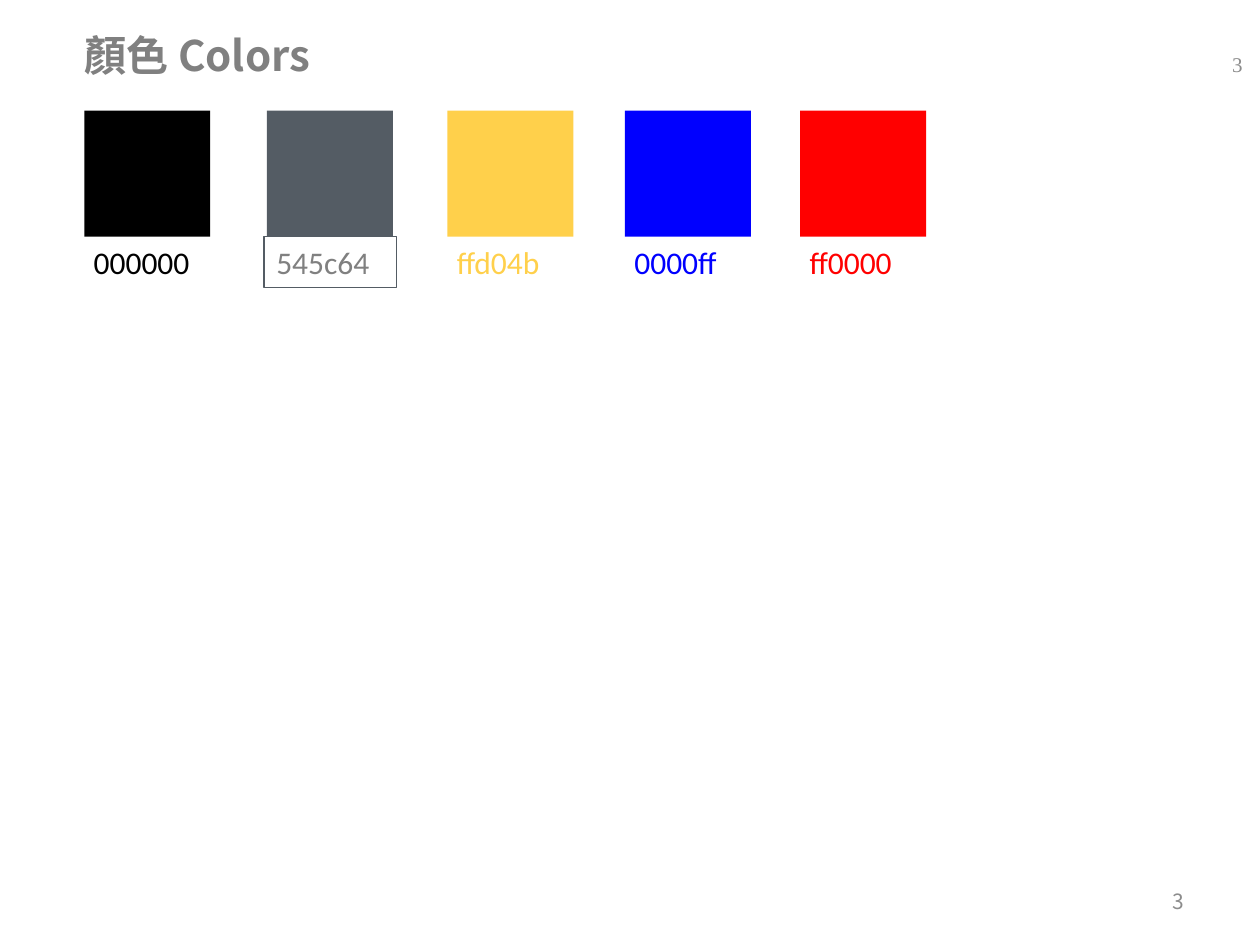
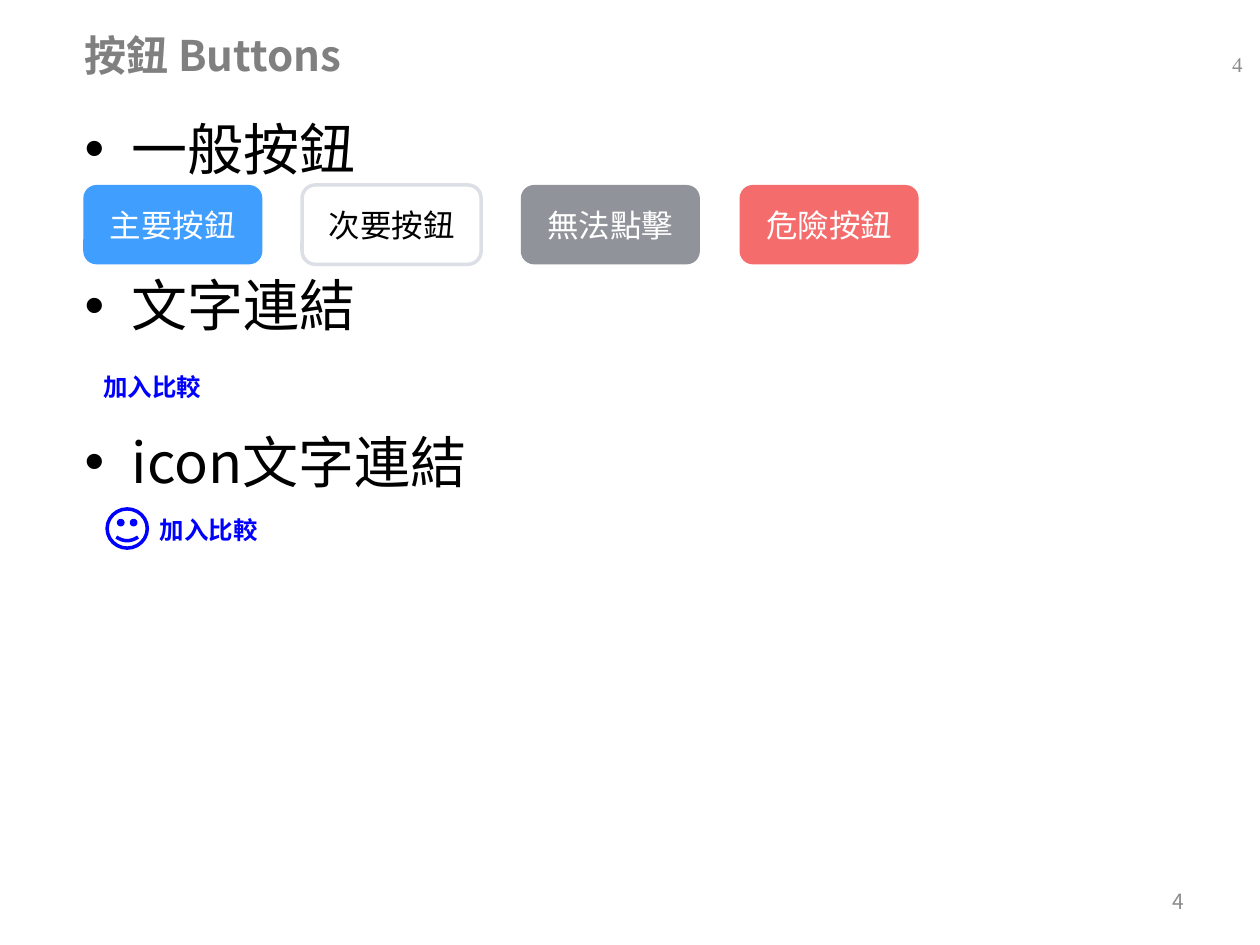
from dataclasses import dataclass

from lxml.etree import SubElement
from pptx import Presentation
from pptx.dml.color import RGBColor
from pptx.enum.shapes import MSO_SHAPE
from pptx.enum.text import MSO_ANCHOR, MSO_AUTO_SIZE, PP_ALIGN
from pptx.oxml.ns import qn
from pptx.util import Cm, Pt


@dataclass(frozen=True)
class Theme:
    sans: str = "Noto Sans CJK SC"
    label: str = "Calibri"
    serif: str = "Times New Roman"
    black: str = "000000"
    white: str = "FFFFFF"
    heading: str = "808080"
    number: str = "8C8C8C"
    slate: str = "545C64"
    yellow: str = "FFD04B"
    blue: str = "0000FF"
    red: str = "FF0000"
    primary: str = "409EFF"
    border: str = "DCDFE6"
    disabled: str = "909399"
    danger: str = "F56C6C"
    title_size: float = 24
    body_size: float = 32
    label_size: float = 18
    link_size: float = 14
    number_size: float = 12


@dataclass(frozen=True)
class Box:
    left: float
    top: float
    width: float
    height: float

    def inside(self, left, top, width, height):
        return Box(self.left + left, self.top + top, width, height)

    def lengths(self):
        return [Cm(side) for side in (self.left, self.top, self.width, self.height)]


THEME = Theme()
TITLE_BOX = Box(1.45, 0.13, 22.86, 1.96)
BODY_BOX = Box(1.45, 2.08, 22.86, 16.23)
NUMBER_BOXES = (
    (Box(18.21, 17.65, 5.92, 1.02), THEME.sans),
    (Box(19.38, 0.79, 5.92, 1.02), THEME.serif),
)


def write(para, text, font=THEME.label, size=THEME.label_size, color=THEME.black,
          bold=False, align=PP_ALIGN.LEFT):
    para.alignment = align
    span = para.add_run()
    span.text = text
    span.font.name = font
    span.font.size = Pt(size)
    span.font.bold = bold
    span.font.color.rgb = RGBColor.from_string(color)
    SubElement(span._r.get_or_add_rPr(), qn("a:ea"), typeface=THEME.sans)


def place(shape, box):
    shape.left, shape.top, shape.width, shape.height = box.lengths()


def add_text(shapes, box, text, anchor=MSO_ANCHOR.TOP, **style):
    frame = shapes.add_textbox(*box.lengths()).text_frame
    frame.word_wrap = True
    frame.vertical_anchor = anchor
    write(frame.paragraphs[0], text, **style)


def add_figure(shapes, kind, box, fill=None, line=None, line_width=2):
    shape = shapes.add_shape(kind, *box.lengths())
    shape.shadow.inherit = False
    if fill:
        shape.fill.solid()
        shape.fill.fore_color.rgb = RGBColor.from_string(fill)
    else:
        shape.fill.background()
    if line:
        shape.line.color.rgb = RGBColor.from_string(line)
        shape.line.width = Pt(line_width)
    else:
        shape.line.fill.background()
    return shape


def add_page(deck, layout, title, number):
    page = deck.slides.add_slide(deck.slide_layouts.get_by_name(layout))
    heading = page.shapes.title
    place(heading, TITLE_BOX)
    heading.text_frame.vertical_anchor = MSO_ANCHOR.MIDDLE
    write(heading.text_frame.paragraphs[0], title, font=THEME.sans,
          size=THEME.title_size, color=THEME.heading, bold=True)
    for box, font in NUMBER_BOXES:
        add_text(page.shapes, box, number, anchor=MSO_ANCHOR.MIDDLE, font=font,
                 size=THEME.number_size, color=THEME.number, align=PP_ALIGN.RIGHT)
    return page


def add_swatch(page, box, fill, text_color, outline=None):
    shapes = page.shapes.add_group_shape().shapes
    add_figure(shapes, MSO_SHAPE.RECTANGLE, box.inside(0, 0, 2.54, 2.54), fill)
    label_box = box.inside(-0.06, 2.54, 2.67, 1.03)
    if outline:
        add_figure(shapes, MSO_SHAPE.RECTANGLE, label_box, line=outline, line_width=0.75)
    add_text(shapes, label_box, fill.lower(), color=text_color)


def add_button(page, box, text, fill=None, line=None, text_color=THEME.white):
    button = add_figure(page.shapes, MSO_SHAPE.ROUNDED_RECTANGLE, box, fill, line)
    button.text_frame.vertical_anchor = MSO_ANCHOR.MIDDLE
    write(button.text_frame.paragraphs[0], text, color=text_color, align=PP_ALIGN.CENTER)


def add_link(shapes, box, text):
    add_text(shapes, box, text, size=THEME.link_size, color=THEME.blue, bold=True)


def add_icon_link(page, box, text):
    shapes = page.shapes.add_group_shape().shapes
    add_link(shapes, box.inside(0.81, 0, 2.62, 0.86), text)
    add_figure(shapes, MSO_SHAPE.SMILEY_FACE, box.inside(0, 0, 0.81, 0.79), line=THEME.blue)


def add_list(page, box, items):
    body = page.placeholders[1]
    place(body, box)
    frame = body.text_frame
    frame.auto_size = MSO_AUTO_SIZE.NONE
    for index, item in enumerate(items):
        para = frame.add_paragraph() if index else frame.paragraphs[0]
        para.line_spacing = Pt(41)
        para.space_before = Pt(48.7 if index else 0)
        write(para, item, font=THEME.sans, size=THEME.body_size)


def build_colors(deck):
    page = add_page(deck, "Title Only", "顏色 Colors", "3")
    swatches = (
        (1.7, THEME.black, THEME.black, None),
        (5.38, THEME.slate, THEME.heading, THEME.slate),
        (9.02, THEME.yellow, THEME.yellow, None),
        (12.6, THEME.blue, THEME.blue, None),
        (16.13, THEME.red, THEME.red, None),
    )
    for left, fill, text_color, outline in swatches:
        add_swatch(page, Box(left, 2.23, 2.54, 3.57), fill, text_color, outline)


def build_buttons(deck):
    page = add_page(deck, "Title and Content", "按鈕 Buttons", "4")
    add_list(page, BODY_BOX, ("一般按鈕", "文字連結", "icon文字連結"))
    buttons = (
        ("主要按鈕", THEME.primary, None, THEME.white),
        ("次要按鈕", None, THEME.border, THEME.black),
        ("無法點擊", THEME.disabled, None, THEME.white),
        ("危險按鈕", THEME.danger, None, THEME.white),
    )
    for index, (text, fill, line, text_color) in enumerate(buttons):
        box = BODY_BOX.inside(0.23 + 4.41 * index, 1.65, 3.61, 1.6)
        add_button(page, box, text, fill, line, text_color)
    add_link(page.shapes, BODY_BOX.inside(0.38, 5.29, 7.67, 0.86), "加入比較")
    add_icon_link(page, BODY_BOX.inside(0.71, 8.18, 3.43, 0.86), "加入比較")


deck = Presentation()
deck.slide_width = Cm(25.4)
deck.slide_height = Cm(19.05)
build_colors(deck)
build_buttons(deck)
deck.save("out.pptx")
